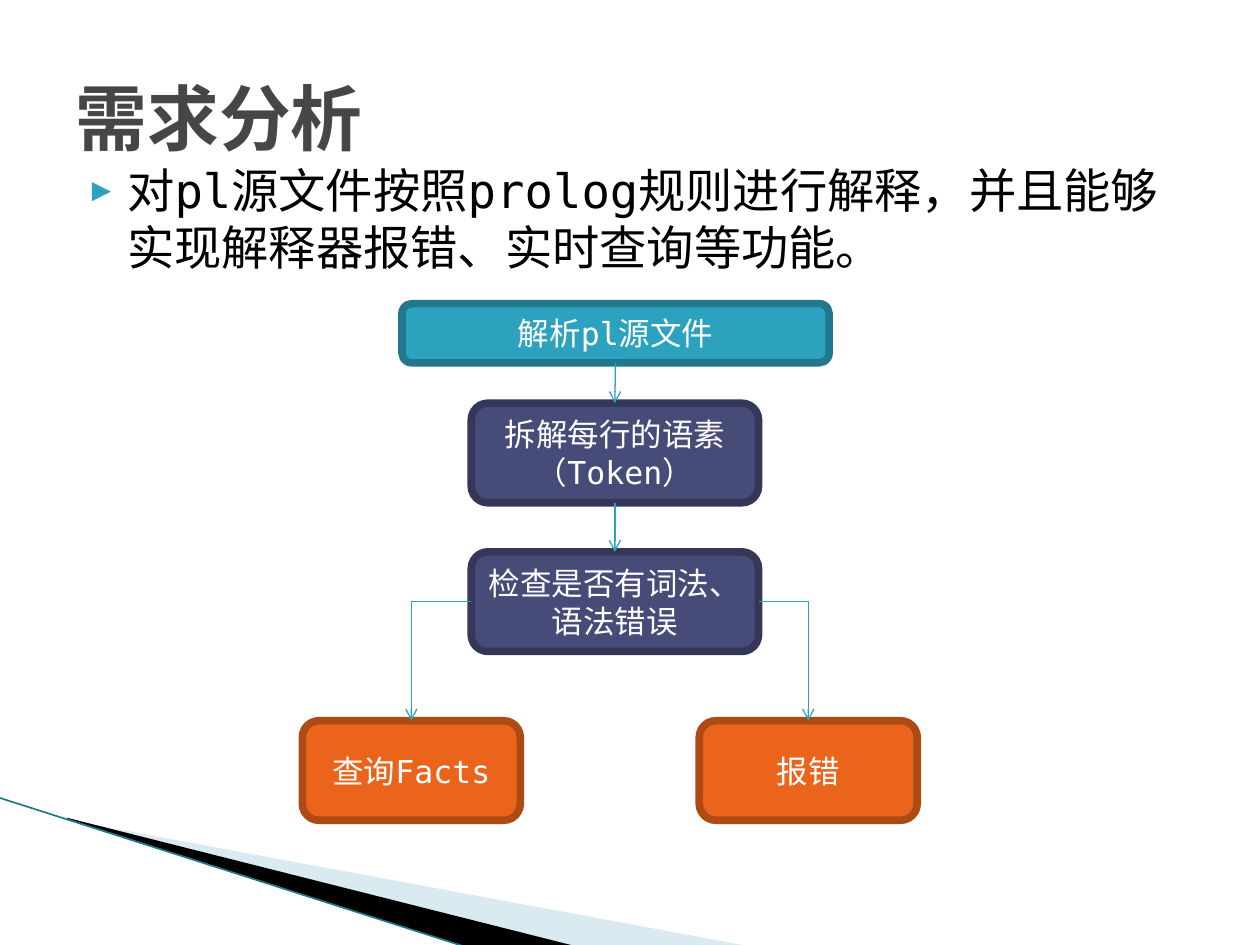
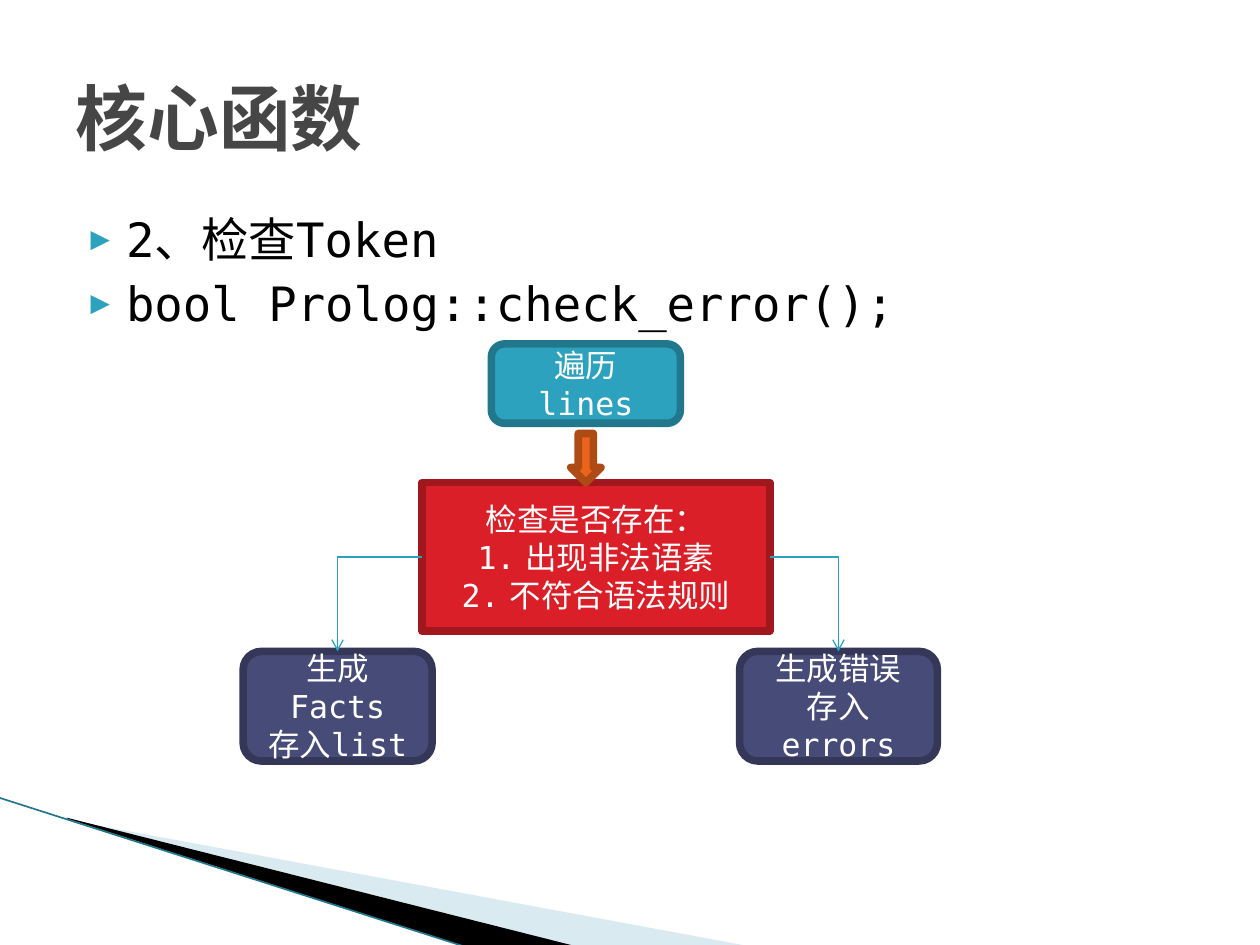
import pptx
import pptx.util
import pptx.dml.color
import pptx.enum.shapes
import pptx.enum.text
import pptx.oxml
import pptx.oxml.ns

Inches = pptx.util.Inches
Pt = pptx.util.Pt
SHAPE = pptx.enum.shapes.MSO_SHAPE
CONNECTOR = pptx.enum.shapes.MSO_CONNECTOR
ALIGN = pptx.enum.text.PP_ALIGN
ANCHOR = pptx.enum.text.MSO_ANCHOR
qn = pptx.oxml.ns.qn

# Shared look
FONT = "DejaVu Sans Mono"
COLORS = {
    "title": "464646", "body": "000000", "white": "FFFFFF", "accent": "2DA2BF",
    "pale": "A0CBDC", "black": "000000", "edge": "21788D",
}
# kind of step: (fill, outline)
STEP_COLORS = {
    "start": ("2DA2BF", "21788D"),
    "work": ("474B78", "353759"),
    "result": ("EB641B", "AE4A14"),
    "check": ("DA1F28", "A1171E"),
}
TITLE_FORMAT = {"size": Pt(41), "bold": True, "name": FONT}
BODY_FORMAT = {"size": Pt(27), "bold": False, "name": FONT}
STEP_FORMAT = {"size": Pt(18), "bold": False, "name": FONT}
TITLE_PLACE = (0.5, 0.3, 9, 1.25)

# Corner band: points, fill, opacity in percent
BANDS = [
    ([(0.55, 6.51), (5.95, 7.51), (4.56, 7.51), (0.55, 6.5)], "pale", 40),
    ([(0.53, 6.49), (4.57, 7.51), (3.72, 7.52), (0.54, 6.5)], "black", 100),
]
BAND_EDGE = (-0.01, 6.33, 3.71, 7.52)

# Connection sites of a box
TOP, LEFT, BOTTOM, RIGHT = range(4)

# Steps: name -> (colours, preset, place, lines); a line starting "#" is numbered
ROUND = SHAPE.ROUNDED_RECTANGLE
PAGES = [
    {
        "title": "需求分析",
        "body_place": (0.51, 1.23, 9, 1.1),
        "body": ["对pl源文件按照prolog规则进行解释，并且能够实现解释器报错、实时查询等功能。"],
        "steps": {
            "parse": ("start", ROUND, (3.19, 2.41, 3.39, 0.47), ["解析pl源文件"]),
            "split": ("work", ROUND, (3.74, 3.2, 2.28, 0.79),
                      ["拆解每行的语素", "（Token）"]),
            "check": ("work", ROUND, (3.74, 4.38, 2.28, 0.79),
                      ["检查是否有词法、语法错误"]),
            "query": ("result", ROUND, (2.4, 5.72, 1.73, 0.79), ["查询Facts"]),
            "report": ("result", ROUND, (5.55, 5.72, 1.73, 0.79), ["报错"]),
        },
        "links": [("parse", BOTTOM, "split"), ("split", BOTTOM, "check"),
                  ("check", LEFT, "query"), ("check", RIGHT, "report")],
    },
    {
        "title": "核心函数",
        "body_place": (0.5, 1.62, 9, 4.95),
        "body": ["2、检查Token", "bool Prolog::check_error();"],
        "steps": {
            "loop": ("start", ROUND, (3.9, 2.73, 1.5, 0.63), ["遍历lines"]),
            "check": ("check", SHAPE.RECTANGLE, (3.35, 3.83, 2.76, 1.18),
                      ["检查是否存在：", "#出现非法语素", "#不符合语法规则"]),
            "arrow": ("result", SHAPE.DOWN_ARROW, (4.53, 3.44, 0.24, 0.39), []),
            "facts": ("work", ROUND, (1.93, 5.17, 1.5, 0.87), ["生成Facts", "存入list"]),
            "errors": ("work", ROUND, (5.87, 5.17, 1.57, 0.87),
                       ["生成错误", "存入errors"]),
        },
        "links": [("check", LEFT, "facts"), ("check", RIGHT, "errors")],
    },
]


def rgb(value):
    return pptx.dml.color.RGBColor.from_string(value)


def inches(values):
    return [Inches(value) for value in values]


def add_xml(parent, tag, **attributes):
    child = pptx.oxml.parse_xml(
        '<a:%s xmlns:a="http://schemas.openxmlformats.org/drawingml/2006/main"/>' % tag)
    for key, value in attributes.items():
        child.set(key, str(value))
    parent.append(child)
    return child


def place(box, where):
    for name, value in zip(("left", "top", "width", "height"), inches(where)):
        setattr(box, name, value)


def set_indent(para, margin, hanging):
    properties = para._p.get_or_add_pPr()
    properties.set("marL", str(Inches(margin)))
    properties.set("indent", str(-Inches(hanging)))
    return properties


def add_bullet(para):
    para.space_before = Pt(4)
    properties = set_indent(para, 0.4, 0.28)
    add_xml(add_xml(properties, "buClr"), "srgbClr", val=COLORS["accent"])
    add_xml(properties, "buSzPct", val=68000)
    add_xml(properties, "buFont", typeface=FONT)
    add_xml(properties, "buChar", char="▶")


def add_number(para):
    properties = set_indent(para, 0.38, 0.38)
    add_xml(properties, "buFont", typeface="+mj-lt")
    add_xml(properties, "buAutoNum", type="arabicPeriod")


def write(frame, lines, formats, color, align, anchor, bulleted=False):
    frame.word_wrap = True
    frame.auto_size = pptx.enum.text.MSO_AUTO_SIZE.NONE
    frame.vertical_anchor = anchor
    for index, line in enumerate(lines):
        para = frame.paragraphs[0] if index == 0 else frame.add_paragraph()
        para.alignment = align
        if bulleted:
            add_bullet(para)
        elif line.startswith("#"):
            add_number(para)
        span = para.add_run()
        span.text = line.lstrip("#")
        for name, value in formats.items():
            setattr(span.font, name, value)
        span.font.color.rgb = rgb(COLORS[color])
        add_xml(span.font._element, "ea", typeface=FONT)


def style_line(connector, color, width):
    connector.line.color.rgb = rgb(COLORS[color])
    connector.line.width = Pt(width)
    add_xml(connector.element.spPr, "effectLst")


def add_step(page, kind, preset, where, lines):
    box = page.shapes.add_shape(preset, *inches(where))
    box.shadow.inherit = False
    fill, outline = STEP_COLORS[kind]
    box.fill.solid()
    box.fill.fore_color.rgb = rgb(fill)
    box.line.color.rgb = rgb(outline)
    box.line.width = Pt(4.33)
    write(box.text_frame, lines, STEP_FORMAT, "white", ALIGN.CENTER, ANCHOR.MIDDLE)
    return box


def add_link(page, source, site, target):
    """Straight from a bottom side, one bend from a left or right side."""
    straight = site == BOTTOM
    link = page.shapes.add_connector(
        CONNECTOR.STRAIGHT if straight else CONNECTOR.ELBOW, 0, 0, 0, 0)
    link.begin_connect(source, site)
    link.end_connect(target, TOP)
    if not straight:
        link.element.spPr.find(qn("a:prstGeom")).set("prst", "bentConnector2")
    style_line(link, "accent", 0.75)
    add_xml(link.line._get_or_add_ln(), "tailEnd", type="arrow")


def add_bands(page, layout):
    """Draw the corner band and hand it to the layout."""
    parts = []
    for points, color, opacity in BANDS:
        start, *others = [inches(point) for point in points]
        builder = page.shapes.build_freeform(*start)
        builder.add_line_segments(others, close=True)
        band = builder.convert_to_shape()
        band.shadow.inherit = False
        band.line.fill.background()
        band.fill.solid()
        band.fill.fore_color.rgb = rgb(COLORS[color])
        if opacity < 100:
            tint = band.element.spPr.find(".//" + qn("a:srgbClr"))
            add_xml(tint, "alpha", val=opacity * 1000)
        parts.append(band)
    edge = page.shapes.add_connector(CONNECTOR.STRAIGHT, *inches(BAND_EDGE))
    style_line(edge, "edge", 0.95)
    parts.append(edge)
    for number, part in enumerate(parts, 101):
        part.element.find(".//" + qn("p:cNvPr")).set("id", str(number))
        layout.shapes.element.append(part.element)


deck = pptx.Presentation()
deck.slide_width, deck.slide_height = Inches(10), Inches(7.5)
layout = deck.slide_layouts[1]

for number, content in enumerate(PAGES):
    page = deck.slides.add_slide(layout)
    if number == 0:
        add_bands(page, layout)

    # Title and list
    title, body = page.shapes.title, page.placeholders[1]
    place(title, TITLE_PLACE)
    write(title.text_frame, [content["title"]], TITLE_FORMAT, "title",
          ALIGN.LEFT, ANCHOR.MIDDLE)
    place(body, content["body_place"])
    write(body.text_frame, content["body"], BODY_FORMAT, "body",
          ALIGN.LEFT, ANCHOR.TOP, bulleted=True)

    # Flow chart
    boxes = {name: add_step(page, *step) for name, step in content["steps"].items()}
    for source, site, target in content["links"]:
        add_link(page, boxes[source], site, boxes[target])

deck.save("out.pptx")
